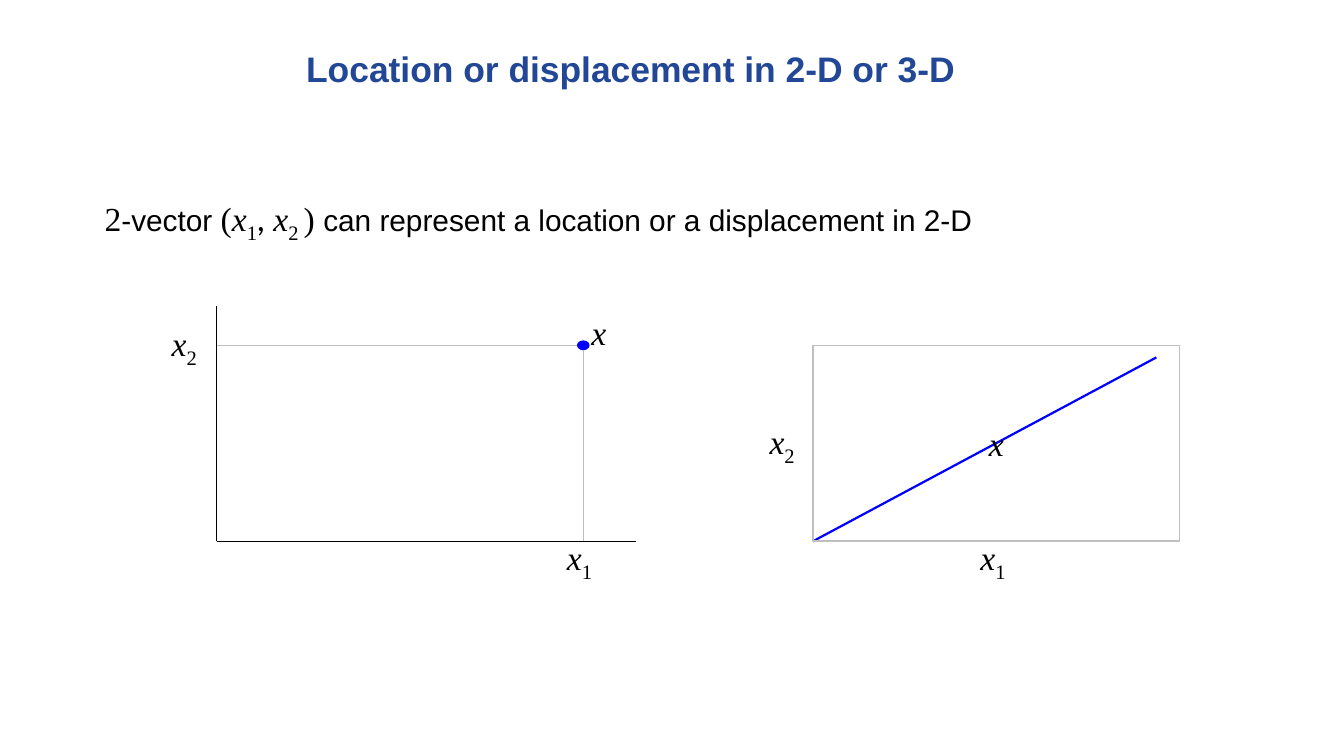
"""Build a slide showing a 2-vector as a location and as a displacement."""
from lxml import etree
from pptx import Presentation
from pptx.dml.color import RGBColor
from pptx.enum.shapes import MSO_CONNECTOR, MSO_SHAPE
from pptx.enum.text import MSO_ANCHOR, PP_ALIGN
from pptx.oxml.ns import qn
from pptx.util import Pt

STRAIGHT = MSO_CONNECTOR.STRAIGHT
RECTANGLE, OVAL = MSO_SHAPE.RECTANGLE, MSO_SHAPE.OVAL
MIDDLE, CENTER = MSO_ANCHOR.MIDDLE, PP_ALIGN.CENTER
COLORS = {"title": "214796", "text": "000000", "axis": "000000",
          "guide": "BFBFBF", "vector": "0000FF"}
SANS, SERIF = "Arial", "Times New Roman"
VARIABLE = ("x", 18, SERIF, "italic")


def add_runs(paragraph, runs, color="text"):
    for words, size, font, style in runs:
        run = paragraph.add_run()
        run.text = words
        run.font.size = Pt(size)
        run.font.name = font
        run.font.bold = style == "bold"
        run.font.italic = style == "italic"
        run.font.color.rgb = RGBColor.from_string(COLORS[color])
        if style == "sub":
            run._r.get_or_add_rPr().set("baseline", "-25000")


def subscript(words):
    return (words, 19, SERIF, "sub")


prs = Presentation()
prs.slide_width, prs.slide_height = Pt(720), Pt(405)
slide = prs.slides.add_slide(prs.slide_layouts[6])
shapes = slide.shapes

origin_x, origin_y = 116, 290
x1, x2 = 196.5, 105
point_x, point_y = origin_x + x1, origin_y - x2
tail_x = 435.5

lines = [
    (origin_x, origin_y, 340.5, origin_y, "axis", 0.75),
    (origin_x, origin_y, origin_x, 164, "axis", 0.75),
    (point_x, origin_y, point_x, point_y, "guide", 0.75),
    (origin_x, point_y, point_x, point_y, "guide", 0.75),
    (tail_x, origin_y, 619.5, 191.5, "vector", 1.2),
]
for start_x, start_y, end_x, end_y, color, width in lines:
    line = shapes.add_connector(STRAIGHT, Pt(start_x), Pt(start_y), Pt(end_x), Pt(end_y))
    line.line.color.rgb = RGBColor.from_string(COLORS[color])
    line.line.width = Pt(width)
    etree.SubElement(line._element.spPr, qn("a:effectLst"))

location = shapes.add_shape(OVAL, Pt(point_x - 3), Pt(point_y - 2.25), Pt(6), Pt(4.5))
location.shadow.inherit = False
location.fill.solid()
location.fill.fore_color.rgb = RGBColor.from_string(COLORS["vector"])
location.line.color.rgb = RGBColor.from_string(COLORS["vector"])
location.line.width = Pt(0.75)

displacement = shapes.add_shape(RECTANGLE, Pt(tail_x), Pt(point_y), Pt(x1), Pt(x2))
displacement.shadow.inherit = False
displacement.fill.background()
displacement.line.color.rgb = RGBColor.from_string(COLORS["guide"])
displacement.line.width = Pt(0.75)
displacement.text_frame.vertical_anchor = MIDDLE
displacement.text_frame.paragraphs[0].alignment = CENTER
add_runs(displacement.text_frame.paragraphs[0], [VARIABLE])

sentence = [
    ("2", 18, SERIF, ""), ("-vector ", 16, SANS, ""), ("(", 18, SERIF, ""),
    VARIABLE, subscript("1"), (", ", 18, "Lato", ""),
    VARIABLE, subscript("2 "), (") ", 18, SERIF, ""),
    ("can represent a location or a displacement in 2-D", 16, SANS, ""),
]
first, second = [VARIABLE, subscript("1")], [VARIABLE, subscript("2")]
texts = [
    (162, 23.75, 395, 22.5, [("Location or displacement in 2-D or 3-D", 19, SANS, "bold")], "title"),
    (54, 103.75, 521.5, 21, sentence, "text"),
    (314.75, 165.5, 13, 21, [VARIABLE], "text"),
    (301.75, 285.25, 20, 21, first, "text"),
    (90, 170.75, 20, 21, second, "text"),
    (523.25, 285.25, 20, 21, first, "text"),
    (410.25, 223.25, 20, 21, second, "text"),
]
for left, top, width, height, runs, color in texts:
    frame = shapes.add_textbox(Pt(left), Pt(top), Pt(width), Pt(height)).text_frame
    frame.word_wrap = True
    frame.margin_left, frame.margin_top = Pt(2), Pt(1.5)
    frame.margin_right = frame.margin_bottom = 0
    add_runs(frame.paragraphs[0], runs, color)

prs.save("out.pptx")
